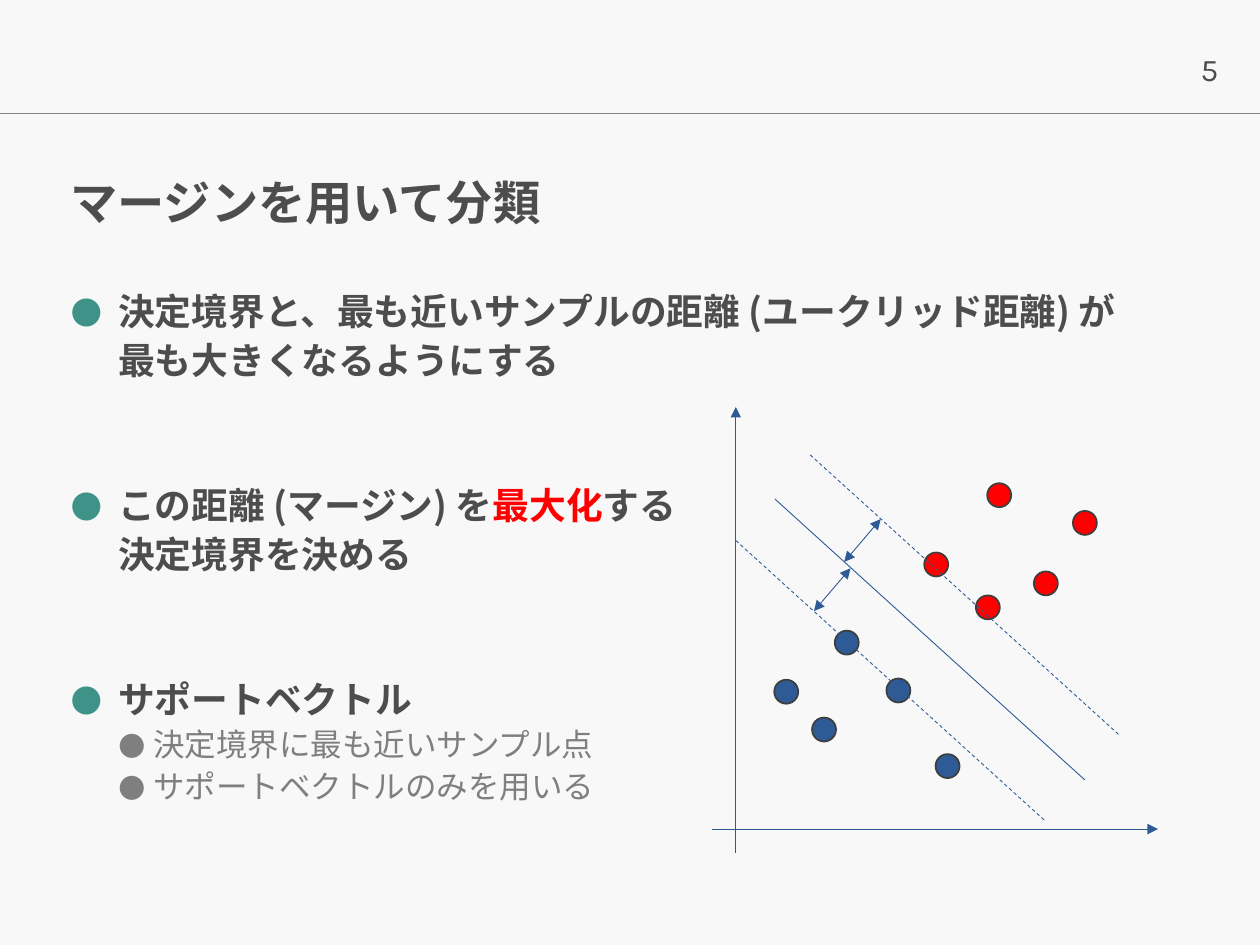
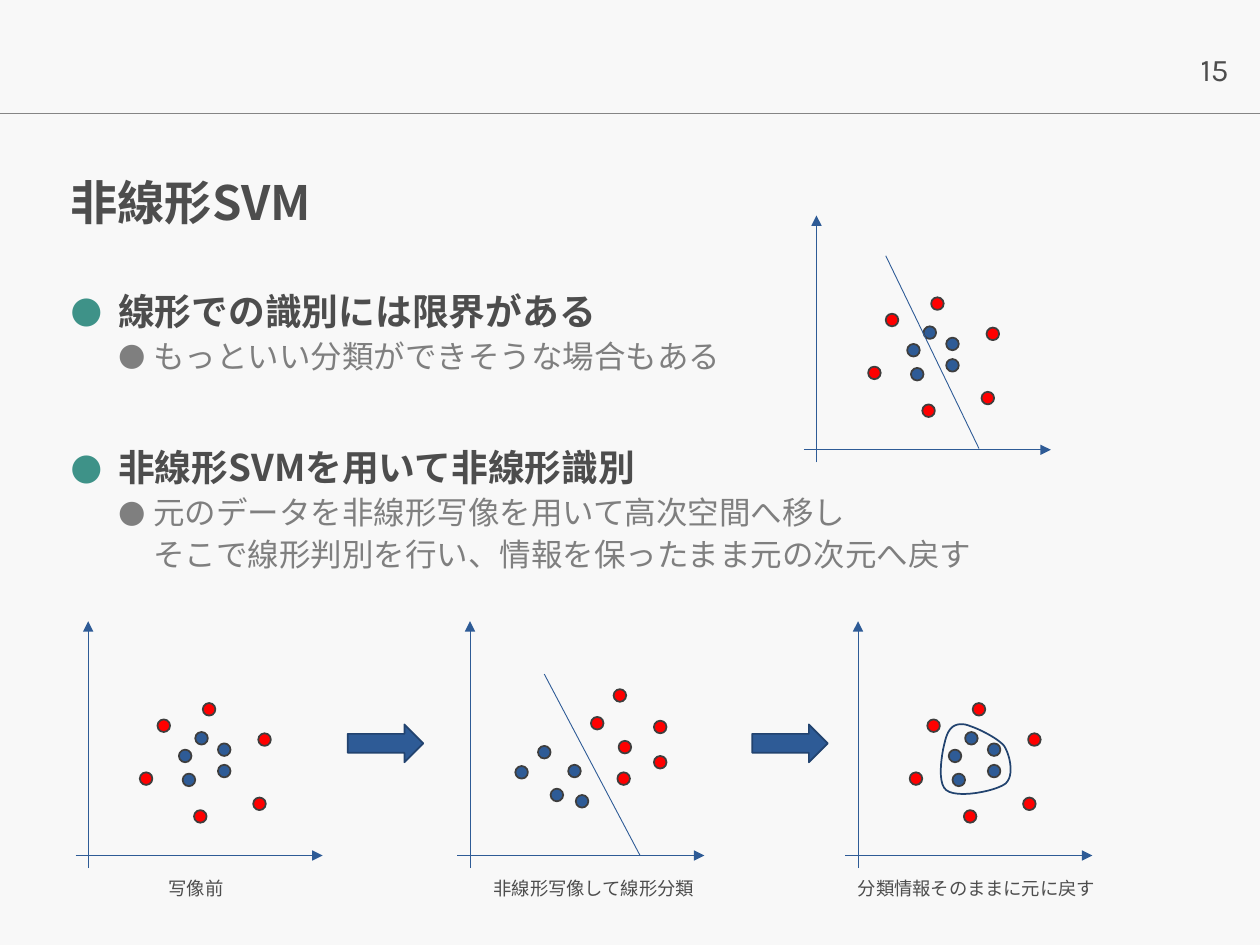
from dataclasses import dataclass
from typing import Any

from lxml import etree
from pptx import Presentation
from pptx.dml.color import RGBColor
from pptx.enum.dml import MSO_LINE
from pptx.enum.shapes import MSO_CONNECTOR, MSO_SHAPE
from pptx.enum.text import MSO_ANCHOR
from pptx.oxml.ns import qn
from pptx.util import Inches, Pt

BACKGROUND, RULE = "F8F8F8", "858585"
TEXT, MUTED, BULLET = "4D4D4D", "7F7F7F", "3E9288"
BLUE, RED, NAVY, DOT_EDGE = "2E5B96", "FF0000", "22436F", "3E3E3E"
LATIN_FONT, JAPANESE_FONT = "Karla", "Noto Sans CJK JP"

TITLE = {"size": 27, "bold": True}
CAPTION = {"size": 10.5, "name": LATIN_FONT}
PAGE_NUMBER = {"size": 18, "name": LATIN_FONT}
LEVELS = [
    {"font": {"size": 21, "bold": True}, "left": 0.38, "hang": 0.38, "bullet": BULLET},
    {"font": {"size": 18, "color": MUTED}, "left": 0.66, "hang": 0.28, "bullet": MUTED},
]

# Dot centres, measured rightwards and upwards from the origin of the axes
MARGIN_BLUE = [(0.4, 1.09), (0.7, 0.79), (0.88, 1.48), (1.29, 1.1), (1.68, 0.5)]
MARGIN_RED = [(1.59, 2.1), (2.77, 2.43), (2.09, 2.65), (2.46, 1.95), (2, 1.76)]
INNER_BLUE = [(0.77, 0.79), (0.8, 0.6), (1.08, 0.84), (0.9, 0.93), (1.08, 0.67)]
OUTER_RED = [(0.46, 0.61), (1.36, 0.41), (0.96, 1.16),
             (0.6, 1.03), (0.89, 0.31), (1.4, 0.92)]
MAPPED_BLUE = [(0.41, 0.66), (0.69, 0.48), (0.59, 0.82), (0.83, 0.67), (0.89, 0.43)]
MAPPED_RED = [(1.01, 1.05), (1.51, 1.02), (1.19, 1.27),
              (1.23, 0.86), (1.51, 0.74), (1.22, 0.61)]
# Bezier points of the closed boundary: a start, then three per segment
BOUNDARY = [(0.85, 1.04), (0.93, 1.02), (1.1, 0.94), (1.16, 0.87),
            (1.21, 0.79), (1.24, 0.63), (1.17, 0.57),
            (1.09, 0.51), (0.78, 0.45), (0.7, 0.52),
            (0.62, 0.58), (0.67, 0.85), (0.7, 0.94),
            (0.73, 1.03), (0.78, 1.05), (0.85, 1.04)]


def rgb(value):
    return RGBColor.from_string(value)


def inches(*values):
    return [Inches(value) for value in values]


def add_run(paragraph, text, style):
    run = paragraph.add_run()
    run.text = text
    values = {"name": JAPANESE_FONT, "bold": False, "color": TEXT, **style}
    run.font.color.rgb = rgb(values.pop("color"))
    values["size"] = Pt(values["size"])
    for name, value in values.items():
        setattr(run.font, name, value)
    east_asian = etree.SubElement(run.font._element, qn("a:ea"))
    east_asian.set("typeface", JAPANESE_FONT)


def add_text_frame(slide, box):
    frame = slide.shapes.add_textbox(*inches(*box)).text_frame
    frame.word_wrap = True
    return frame


def add_label(slide, box, text, style):
    frame = add_text_frame(slide, box)
    add_run(frame.paragraphs[0], text, style)
    return frame


def set_bullet(paragraph, level):
    properties = paragraph._p.get_or_add_pPr()
    properties.set("marL", str(Inches(level["left"])))
    properties.set("indent", str(-Inches(level["hang"])))
    color = etree.SubElement(properties, qn("a:buClr"))
    etree.SubElement(color, qn("a:srgbClr")).set("val", level["bullet"])
    etree.SubElement(properties, qn("a:buFont")).set("typeface", LATIN_FONT)
    etree.SubElement(properties, qn("a:buChar")).set("char", "●")


def add_body(slide, box, items):
    """Items are (level, points before, lines); a line is a list of (text, colour)."""
    frame = add_text_frame(slide, box)
    for index, (depth, before, lines) in enumerate(items):
        paragraph = frame.paragraphs[0] if index == 0 else frame.add_paragraph()
        level = LEVELS[depth]
        set_bullet(paragraph, level)
        paragraph.level = depth
        paragraph.line_spacing = Pt(level["font"]["size"] * 4 / 3)
        paragraph.space_before = Pt(before)
        for number, line in enumerate(lines):
            if number:
                paragraph.add_line_break()
            for text, color in line:
                add_run(paragraph, text, {**level["font"], "color": color})


def plain(*lines, color=TEXT):
    return [[(line, color)] for line in lines]


def add_line(shapes, start, end, color=BLUE, width=0.5, dashed=False, arrows=()):
    line = shapes.add_connector(MSO_CONNECTOR.STRAIGHT, *inches(*start, *end))
    line.line.color.rgb = rgb(color)
    line.line.width = Pt(width)
    if dashed:
        line.line.dash_style = MSO_LINE.DASH
    for end_name in arrows:
        arrow = etree.SubElement(line.line._get_or_add_ln(), qn(f"a:{end_name}"))
        arrow.set("type", "triangle")
    etree.SubElement(line._element.spPr, qn("a:effectLst"))


def style_shape(shape, fill, edge):
    shape.shadow.inherit = False
    if fill:
        shape.fill.solid()
        shape.fill.fore_color.rgb = rgb(fill)
    else:
        shape.fill.background()
    shape.line.color.rgb = rgb(edge)
    shape.line.width = Pt(1)


def add_block_arrow(slide, box):
    arrow = slide.shapes.add_shape(MSO_SHAPE.RIGHT_ARROW, *inches(*box))
    style_shape(arrow, BLUE, NAVY)


@dataclass
class Plot:
    """Axes whose points are given rightwards and upwards from the origin."""
    slide: Any
    left: float
    base: float
    length: float = 1.86
    overhang: float = 0.1
    dot: float = 0.1

    def place(self, point):
        return self.left + point[0], self.base - point[1]

    def line(self, start, end, shapes=None, **style):
        add_line(shapes or self.slide.shapes, self.place(start), self.place(end), **style)

    def scatter(self, blue, red):
        shapes = self.slide.shapes.add_group_shape().shapes
        self.line((0, -self.overhang), (0, self.length), shapes, arrows=["tailEnd"])
        self.line((-self.overhang, 0), (self.length, 0), shapes, arrows=["tailEnd"])
        for color, centres in ((BLUE, blue), (RED, red)):
            for centre in centres:
                x, y = self.place(centre)
                box = inches(x - self.dot / 2, y - self.dot / 2, self.dot, self.dot)
                style_shape(shapes.add_shape(MSO_SHAPE.OVAL, *box), color, DOT_EDGE)

    def closed_curve(self, points, steps=12):
        outline = [inches(*self.place(point)) for point in sample_bezier(points, steps)]
        builder = self.slide.shapes.build_freeform(*outline[0])
        builder.add_line_segments(outline[1:], close=True)
        style_shape(builder.convert_to_shape(), None, NAVY)


def sample_bezier(points, steps):
    sampled = [points[0]]
    for first in range(0, len(points) - 1, 3):
        segment = points[first:first + 4]
        for step in range(1, steps + 1):
            t = step / steps
            weights = ((1 - t) ** 3, 3 * t * (1 - t) ** 2, 3 * t * t * (1 - t), t ** 3)
            sampled.append(tuple(
                sum(weight * point[axis] for weight, point in zip(weights, segment))
                for axis in (0, 1)))
    return sampled


def add_base_slide(presentation, number, title):
    slide = presentation.slides.add_slide(presentation.slide_layouts[6])
    slide.background.fill.solid()
    slide.background.fill.fore_color.rgb = rgb(BACKGROUND)
    add_label(slide, (9.43, 0.35, 0.51, 0.4), number, PAGE_NUMBER)
    add_line(slide.shapes, (0, 0.9), (10, 0.9), RULE, 1)
    frame = add_label(slide, (0.46, 1.11, 9.1, 1.03), title, TITLE)
    frame.vertical_anchor = MSO_ANCHOR.MIDDLE
    frame.paragraphs[0].line_spacing = 0.9
    return slide


def draw_margin_plot(slide, left, base):
    plot = Plot(slide, left, base, length=3.35, overhang=0.19, dot=0.19)
    plot.scatter(MARGIN_BLUE, MARGIN_RED)
    for x, y, dashed in ((0.31, 2.62, False), (0, 2.29, True), (0.59, 2.97, True)):
        plot.line((x, y), (x + 2.46, y - 2.23), dashed=dashed)
    for x, y in ((0.86, 2.12), (0.62, 1.73)):
        plot.line((x, y), (x + 0.29, y + 0.34), arrows=["headEnd", "tailEnd"])


def draw_mapping_steps(slide, base):
    before, mapped, restored = [Plot(slide, left, base) for left in (0.7, 3.73, 6.81)]
    before.scatter(INNER_BLUE, OUTER_RED)
    mapped.scatter(MAPPED_BLUE, MAPPED_RED)
    mapped.line((0.59, 1.44), (1.35, 0))
    restored.scatter(INNER_BLUE, OUTER_RED)
    restored.closed_curve(BOUNDARY)
    for left in (2.76, 5.97):
        add_block_arrow(slide, (left, base - 1.04, 0.6, 0.3))
    for left, width, text in ((1.24, 1.4, "写像前"),
                              (3.82, 1.81, "非線形写像して線形分類"),
                              (6.71, 2.11, "分類情報そのままに元に戻す")):
        add_label(slide, (left, base + 0.12, width, 0.28), text, CAPTION)


def build_margin_slide(presentation, body_box):
    slide = add_base_slide(presentation, "5", "マージンを用いて分類")
    add_body(slide, body_box, [
        (0, 0, plain("決定境界と、最も近いサンプルの距離 (ユークリッド距離) が",
                     "最も大きくなるようにする")),
        (0, 55, [[("この距離 (マージン) を", TEXT), ("最大化", RED), ("する", TEXT)],
                 [("決定境界を決める", TEXT)]]),
        (0, 55, plain("サポートベクトル")),
        (1, 0, plain("決定境界に最も近いサンプル点", color=MUTED)),
        (1, 0, plain("サポートベクトルのみを用いる", color=MUTED)),
    ])
    draw_margin_plot(slide, 5.84, 6.58)


def build_nonlinear_slide(presentation, body_box):
    slide = add_base_slide(presentation, "15", "非線形SVM")
    add_body(slide, body_box, [
        (0, 0, plain("線形での識別には限界がある")),
        (1, 0, plain("もっといい分類ができそうな場合もある", color=MUTED)),
        (0, 37.5, plain("非線形SVMを用いて非線形識別")),
        (1, 0, plain("元のデータを非線形写像を用いて高次空間へ移し",
                     "そこで線形判別を行い、情報を保ったまま元の次元へ戻す", color=MUTED)),
    ])
    linear = Plot(slide, 6.48, 3.57)
    linear.scatter(INNER_BLUE, OUTER_RED)
    linear.line((0.55, 1.54), (1.29, 0.01))
    draw_mapping_steps(slide, 6.79)


def main():
    presentation = Presentation()
    presentation.slide_width, presentation.slide_height = inches(10, 7.5)
    body_box = (0.46, 2.2, 9.1, 5)
    build_margin_slide(presentation, body_box)
    build_nonlinear_slide(presentation, body_box)
    presentation.save("out.pptx")


if __name__ == "__main__":
    main()
